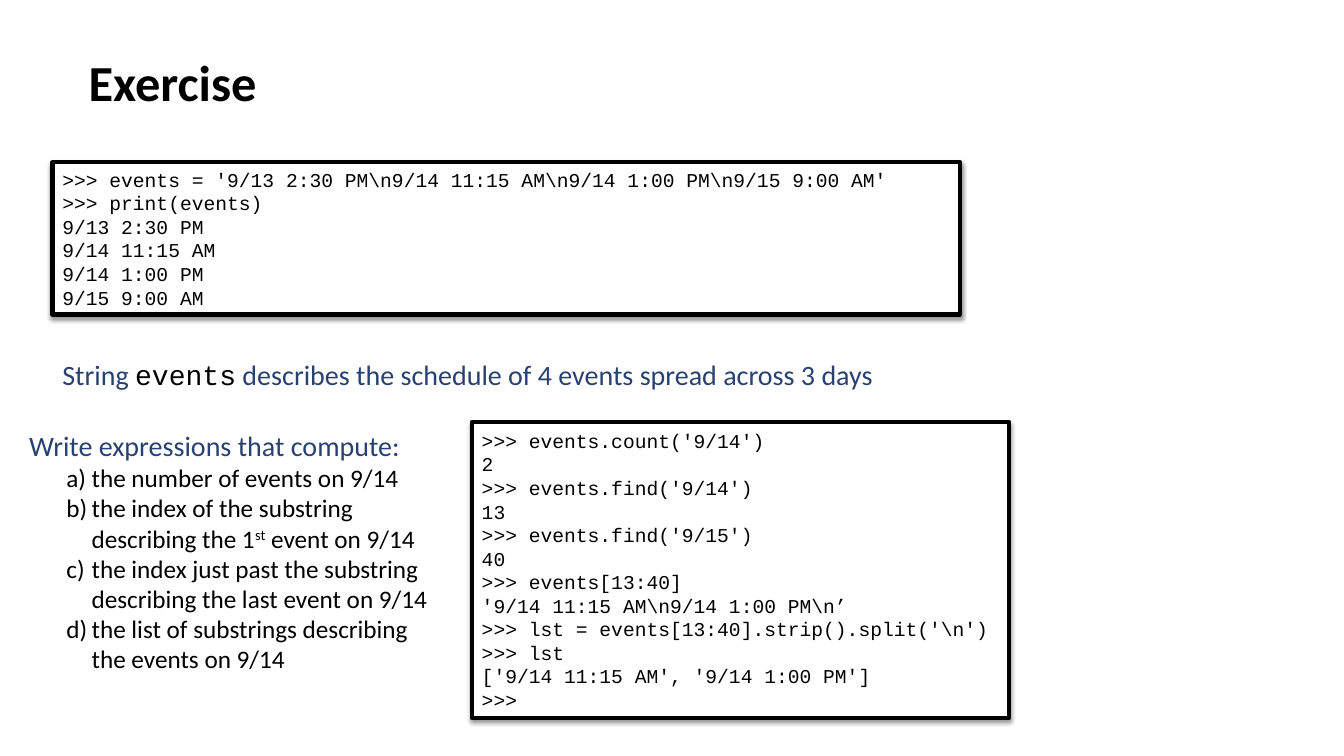
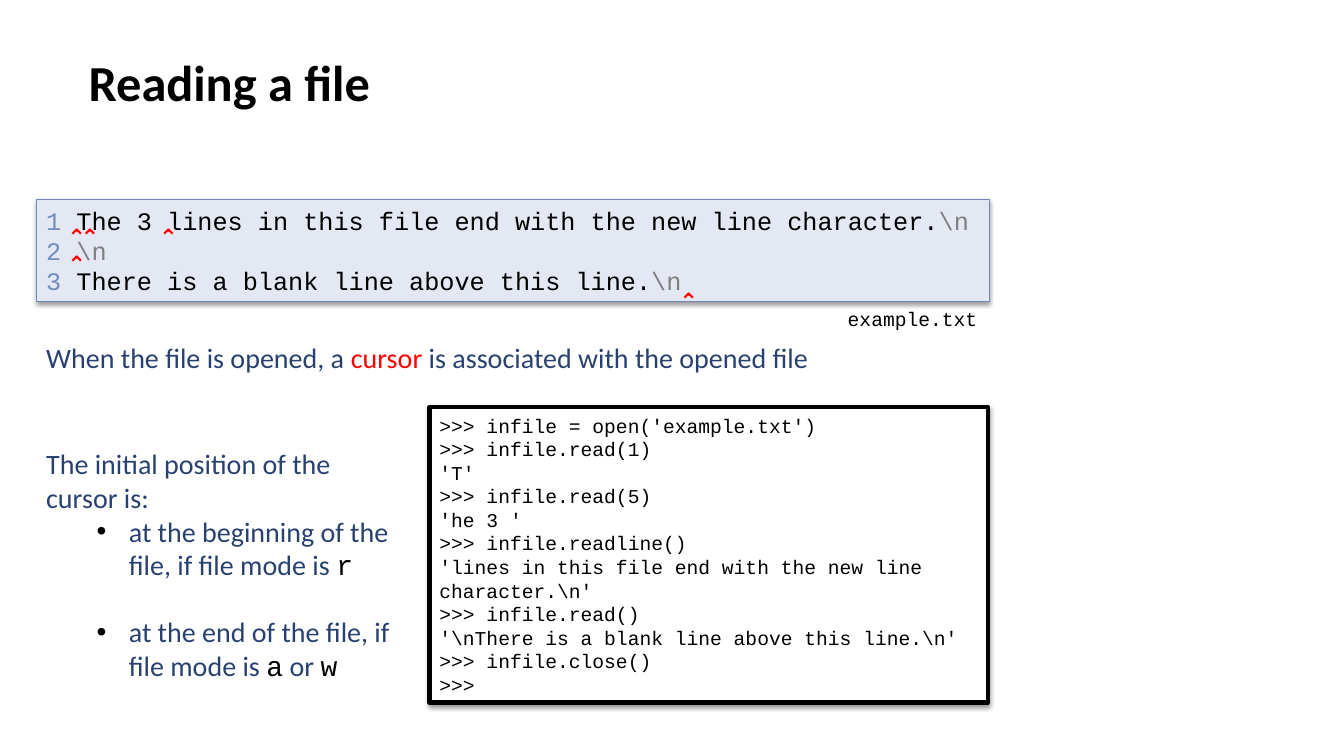
from dataclasses import dataclass, replace

from lxml import etree
from pptx import Presentation
from pptx.dml.color import RGBColor
from pptx.enum.shapes import MSO_SHAPE
from pptx.enum.text import MSO_ANCHOR, MSO_AUTO_SIZE, PP_ALIGN
from pptx.oxml.ns import qn
from pptx.util import Inches, Pt

RECTANGLE = MSO_SHAPE.RECTANGLE
MIDDLE = MSO_ANCHOR.MIDDLE
GROW = MSO_AUTO_SIZE.SHAPE_TO_FIT_TEXT
FIXED = MSO_AUTO_SIZE.NONE
LEFT = PP_ALIGN.LEFT

BLACK = RGBColor(0x00, 0x00, 0x00)
WHITE = RGBColor(0xFF, 0xFF, 0xFF)
NAVY = RGBColor(0x29, 0x41, 0x71)
RED = RGBColor(0xFF, 0x00, 0x00)
GRAY = RGBColor(0x80, 0x80, 0x80)
PALE_BLUE = RGBColor(0xE3, 0xE8, 0xF2)
EDGE_BLUE = RGBColor(0x70, 0x88, 0xBA)
NUMBER_BLUE = RGBColor(0x74, 0x8C, 0xBC)


@dataclass(frozen=True)
class Style:
    size: int
    color: RGBColor = BLACK
    font: str = "Calibri"
    bold: bool = False
    raised: bool = False


TITLE = Style(36, bold=True)
BODY = Style(20, NAVY)
BODY_CODE = Style(20, font="Courier New")
BODY_CURSOR = replace(BODY, color=RED)
ITEM = Style(18)
ORDINAL = replace(ITEM, raised=True)
CODE = Style(14, font="Courier New")
FILE_TEXT = Style(18, font="Courier New")
LINE_NUMBER = replace(FILE_TEXT, color=NUMBER_BLUE)
LINE_END = replace(FILE_TEXT, color=GRAY)
CARET = Style(16, RED, "Open Sans", bold=True)


def format_span(span, style):
    span.font.size = Pt(style.size)
    span.font.name = style.font
    span.font.bold = style.bold
    span.font.color.rgb = style.color
    if style.raised:
        span.font._element.set("baseline", "30000")


def write(box, paragraphs, wrap=True, auto_size=GROW):
    frame = box.text_frame
    frame.word_wrap = wrap
    frame.auto_size = auto_size
    frame.vertical_anchor = MIDDLE
    for index, spans in enumerate(paragraphs):
        para = frame.paragraphs[0] if index == 0 else frame.add_paragraph()
        para.alignment = LEFT
        for text, style in spans:
            span = para.add_run()
            span.text = text
            format_span(span, style)


def add_text(page, place, paragraphs, **options):
    box = page.shapes.add_textbox(*map(Inches, place))
    write(box, paragraphs, **options)
    return box


def add_title(page, text):
    add_text(page, (0.78, 0, 8.5, 1.61), [[(text, TITLE)]], auto_size=FIXED)


def add_shadow(shape):
    shape.shadow.inherit = False
    effects = shape._element.spPr.find(qn("a:effectLst"))
    shadow = etree.SubElement(
        effects, qn("a:outerShdw"), blurRad=str(Pt(3.1)), dist=str(Pt(1.6)),
        dir="5400000", rotWithShape="0")
    color = etree.SubElement(shadow, qn("a:srgbClr"), val=str(BLACK))
    etree.SubElement(color, qn("a:alpha"), val="38000")


def add_panel(page, place, paragraphs, fill=WHITE, edge=BLACK, weight=3):
    panel = page.shapes.add_shape(RECTANGLE, *map(Inches, place))
    panel.fill.solid()
    panel.fill.fore_color.rgb = fill
    panel.line.color.rgb = edge
    panel.line.width = Pt(weight)
    add_shadow(panel)
    write(panel, paragraphs)


def add_code(page, place, lines):
    add_panel(page, place, [[(line, CODE)] for line in lines])


def indent(para, left, hanging):
    para.level = 1
    properties = para._p.get_or_add_pPr()
    properties.set("marL", str(Inches(left)))
    properties.set("indent", str(-Inches(hanging)))
    return properties


def add_letter(para):
    properties = indent(para, 0.62, 0.25)
    etree.SubElement(properties, qn("a:buFont"), typeface="+mj-lt")
    etree.SubElement(properties, qn("a:buAutoNum"), type="alphaLcParenR")


def add_bullet(para):
    properties = indent(para, 0.82, 0.32)
    color = etree.SubElement(properties, qn("a:buClr"))
    etree.SubElement(color, qn("a:srgbClr"), val=str(BLACK))
    etree.SubElement(properties, qn("a:buFont"), typeface="Arial")
    etree.SubElement(properties, qn("a:buChar"), char="•")


def add_list(page, place, heading, items, marker):
    box = add_text(page, place, [[(heading, BODY)], *items])
    paras = box.text_frame.paragraphs[1:]
    for para in paras:
        marker(para)
    return paras


def build_exercise(page):
    add_title(page, "Exercise")
    add_code(page, (0.52, 1.61, 9, 1.51), [
        r">>> events = '9/13 2:30 PM\n9/14 11:15 AM\n9/14 1:00 PM\n9/15 9:00 AM'",
        ">>> print(events)",
        "9/13 2:30 PM",
        "9/14 11:15 AM",
        "9/14 1:00 PM",
        "9/15 9:00 AM",
    ])
    add_code(page, (4.68, 4.19, 5.33, 2.93), [
        ">>> events.count('9/14')",
        "2",
        ">>> events.find('9/14')",
        "13",
        ">>> events.find('9/15')",
        "40",
        ">>> events[13:40]",
        r"'9/14 11:15 AM\n9/14 1:00 PM\n’",
        r">>> lst = events[13:40].strip().split('\n')",
        ">>> lst",
        "['9/14 11:15 AM', '9/14 1:00 PM']",
        ">>>",
    ])
    add_list(page, (0.19, 4.19, 4.18, 2.56), "Write expressions that compute:", [
        [("the number of events on 9/14", ITEM)],
        [("the index of the substring describing the 1", ITEM),
         ("st", ORDINAL), (" event on 9/14", ITEM)],
        [("the index just past the substring describing the last event on 9/14", ITEM)],
        [("the list of substrings describing the events on 9/14", ITEM)],
    ], add_letter)
    add_text(page, (0.52, 3.49, 8.45, 0.44), [[
        ("String ", BODY), ("events", BODY_CODE),
        (" describes the schedule of 4 events spread across 3 days", BODY),
    ]], wrap=False)


def build_reading(page):
    add_title(page, "Reading a file")
    file_lines = ["The 3 lines in this file end with the new line character.",
                  "", "There is a blank line above this line."]
    add_panel(page, (0.36, 1.98, 9.45, 1.01), [
        [(f"{number} ", LINE_NUMBER), (line, FILE_TEXT), (r"\n", LINE_END)]
        if line else [(f"{number} ", LINE_NUMBER), (r"\n", LINE_END)]
        for number, line in enumerate(file_lines, 1)
    ], PALE_BLUE, EDGE_BLUE, 0.75)
    for left, top in [(0.57, 2.16), (0.7, 2.16), (1.48, 2.16),
                      (0.57, 2.43), (6.64, 2.8)]:
        add_text(page, (left, top, 0.41, 0.37), [[("⌃", CARET)]], wrap=False)
    add_code(page, (4.26, 4.04, 5.54, 2.93), [
        ">>> infile = open('example.txt')",
        ">>> infile.read(1)",
        "'T'",
        ">>> infile.read(5)",
        "'he 3 '",
        ">>> infile.readline()",
        r"'lines in this file end with the new line character.\n'",
        ">>> infile.read()",
        r"'\nThere is a blank line above this line.\n'",
        ">>> infile.close()",
        ">>>",
    ])
    add_text(page, (8.31, 2.99, 1.5, 0.34), [[("example.txt", CODE)]], wrap=False)
    add_text(page, (0.36, 3.32, 9.45, 0.44), [[
        ("When the file is opened, a ", BODY), ("cursor ", BODY_CURSOR),
        ("is associated with the opened file", BODY),
    ]])
    modes = add_list(
        page, (0.36, 4.37, 3.63, 2.46), "The initial position of the cursor is:", [
            [("at the beginning of the file, if file mode is ", BODY), ("r", BODY_CODE)],
            [("at the end of the file, if file mode is ", BODY), ("a", BODY_CODE),
             (" or ", BODY), ("w", BODY_CODE)],
        ], add_bullet)
    modes[-1].space_before = Pt(24)


def main():
    deck = Presentation()
    deck.slide_width = Inches(13.33)
    deck.slide_height = Inches(7.5)
    blank = deck.slide_layouts[6]
    for build in (build_exercise, build_reading):
        build(deck.slides.add_slide(blank))
    deck.save("out.pptx")


if __name__ == "__main__":
    main()
